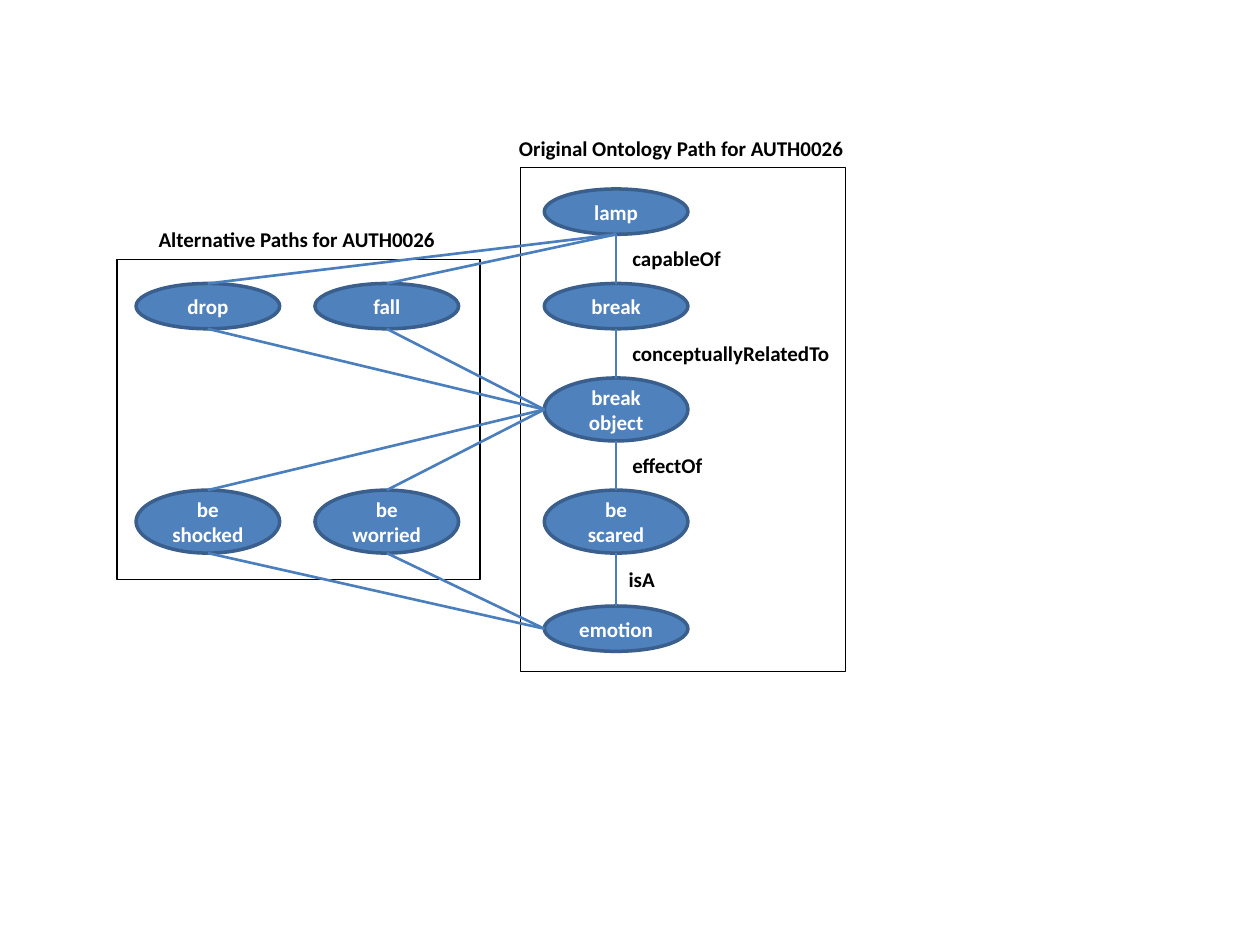
from lxml import etree
from pptx import Presentation
from pptx import util as u
from pptx.dml.color import RGBColor
from pptx.enum import shapes, text
from pptx.oxml.ns import qn

PX = 9144  # 100 px to the inch


def emu(*px):
    return [u.Emu(n * PX) for n in px]


def color(code):
    return RGBColor.from_string(code)


class Deck:
    font, size = "Calibri", 12
    black, white = "000000", "FFFFFF"
    blue, edge, wire = "4F81BD", "3A5F8C", "4B7EBC"

    def __init__(self, wide, high):
        self.prs = Presentation()
        self.prs.slide_width, self.prs.slide_height = emu(wide, high)
        self.slide = self.prs.slides.add_slide(self.prs.slide_layouts[6])

    def shape(self, kind, box, fill, line, width):
        item = self.slide.shapes.add_shape(kind, *emu(*box))
        item.shadow.inherit = False
        item.fill.solid()
        item.fill.fore_color.rgb = color(fill)
        item.line.color.rgb = color(line)
        item.line.width = u.Pt(width)
        return item

    def words(self, frame, string, code, align):
        par = frame.paragraphs[0]
        par.alignment = align
        run = par.add_run()
        run.text = string
        run.font.name = self.font
        run.font.size = u.Pt(self.size)
        run.font.bold = True
        run.font.color.rgb = color(code)

    def frame(self, *box):
        self.shape(shapes.MSO_SHAPE.RECTANGLE, box, self.white, self.black, 1)

    def node(self, string, left, top, high):
        """Draw an ellipse and return its top, left and bottom points."""
        wide = 114
        item = self.shape(shapes.MSO_SHAPE.OVAL, (left, top, wide, high),
                          self.blue, self.edge, 2)
        item.text_frame.vertical_anchor = text.MSO_ANCHOR.MIDDLE
        self.words(item.text_frame, string, self.white, text.PP_ALIGN.CENTER)
        mid = left + wide // 2
        return {"top": (mid, top), "left": (left, top + high // 2),
                "bottom": (mid, top + high)}

    def link(self, start, end):
        line = self.slide.shapes.add_connector(
            shapes.MSO_CONNECTOR.STRAIGHT, *emu(*start, *end))
        line.line.color.rgb = color(self.wire)
        line.line.width = u.Pt(1.5)
        etree.SubElement(line._element.spPr, qn("a:effectLst"))

    def label(self, string, left, top, wide):
        box = self.slide.shapes.add_textbox(*emu(left, top, wide, 30))
        box.text_frame.word_wrap = False
        box.text_frame.auto_size = text.MSO_AUTO_SIZE.SHAPE_TO_FIT_TEXT
        self.words(box.text_frame, string, self.black, text.PP_ALIGN.LEFT)


def main():
    deck = Deck(1000, 750)
    deck.frame(93, 206, 288, 254)
    deck.frame(413, 133, 258, 400)

    low, tall = 36, 50
    chain = [deck.node(string, 432, top, high) for string, top, high in (
        ("lamp", 150, low), ("break", 225, low), ("break object", 300, tall),
        ("be scared", 389, tall), ("emotion", 481, low))]
    for one, two in zip(chain, chain[1:]):
        deck.link(one["bottom"], two["top"])

    lamp, _, center, _, feeling = chain
    for left, cause, effect in ((250, "fall", "be worried"),
                                (108, "drop", "be shocked")):
        upper = deck.node(cause, left, 225, low)
        lower = deck.node(effect, left, 389, tall)
        deck.link(lamp["bottom"], upper["top"])
        deck.link(upper["bottom"], center["left"])
        deck.link(lower["top"], center["left"])
        deck.link(lower["bottom"], feeling["left"])

    for label in (("capableOf", 492, 190, 91),
                  ("conceptuallyRelatedTo", 492, 265, 178),
                  ("effectOf", 492, 354, 77),
                  ("isA", 489, 445, 41),
                  ("Original Ontology Path for AUTH0026", 402, 103, 281),
                  ("Alternative Paths for AUTH0026", 116, 175, 242)):
        deck.label(*label)

    deck.prs.save("out.pptx")


if __name__ == "__main__":
    main()
